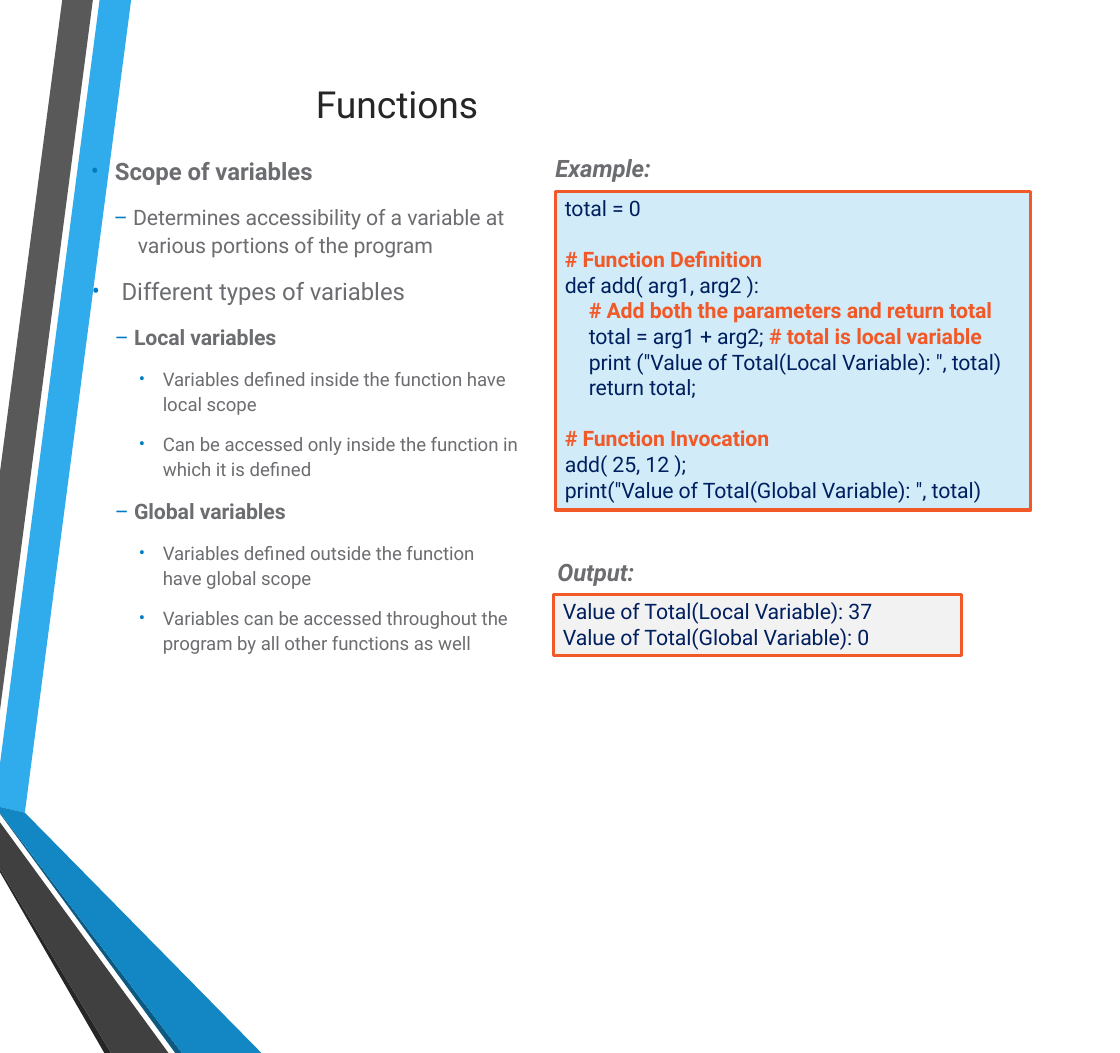
from lxml import etree
from pptx import Presentation
from pptx.dml.color import RGBColor
from pptx.enum.shapes import MSO_SHAPE
from pptx.enum.text import MSO_ANCHOR, PP_ALIGN
from pptx.oxml.ns import qn
from pptx.util import Inches, Pt

RECTANGLE = MSO_SHAPE.RECTANGLE
TOP, MIDDLE = MSO_ANCHOR.TOP, MSO_ANCHOR.MIDDLE
LEFT, CENTER = PP_ALIGN.LEFT, PP_ALIGN.CENTER
FONT = "Roboto"
DARK, GRAY, BLUE, NAVY, ORANGE = "262626", "6C6D70", "007BC3", "001F5F", "F15928"

RIBBONS = [
    ("30ACEC", [(0, 7.98), (0, 8.43), (0.26, 8.49), (1.37, 0), (1.04, 0)]),
    ("595959", [(0.97, 0), (0.65, 0), (0, 4.93), (0, 7.42)]),
    ("262626", [(0, 9.08), (0, 9.11), (1.09, 11), (1.16, 11)]),
    ("0C5A82", [(0, 8.49), (0, 8.5), (1.83, 11), (1.9, 11)]),
    ("1287C3", [(0, 8.49), (1.9, 11), (2.73, 11), (0.26, 8.49), (0, 8.43)]),
    ("404040", [(0, 9.08), (1.16, 11), (1.76, 11), (0, 8.59)]),
]

DETAILS = [
    (2.18, 3.86, "Variables defined inside the function have local scope"),
    (2.86, 4.01, "Can be accessed only inside the function in which it is defined"),
    (4.0, 3.9, "Variables defined outside the function have global scope"),
    (4.68, 3.89, "Variables can be accessed throughout the program by all other functions as well"),
]

CODE = [
    (0, 0, [("total = 0", NAVY)]),
    (0, 19.5, [("# Function Definition", ORANGE)]),
    (0, 0, [("def add( arg1, arg2 ):", NAVY)]),
    (0.25, 0, [("# Add both the parameters and return total", ORANGE)]),
    (0.25, 0, [("total = arg1 + arg2; ", NAVY), ("# total is local variable", ORANGE)]),
    (0.25, 0, [('print ("Value of Total(Local Variable): ", total)', NAVY)]),
    (0.25, 0, [("return total;", NAVY)]),
    (0, 19.5, [("# Function Invocation", ORANGE)]),
    (0, 0, [("add( 25, 12 );", NAVY)]),
    (0, 0, [('print("Value of Total(Global Variable): ", total)', NAVY)]),
]

OUTPUT = [
    (0, 0, [("Value of Total(Local Variable): 37", NAVY)]),
    (0, 0, [("Value of Total(Global Variable): 0", NAVY)]),
]


def rgb(value):
    return RGBColor.from_string(value)


def set_frame(sp, anchor=TOP, left=0, top=0.01):
    tf = sp.text_frame
    tf.word_wrap = True
    tf.vertical_anchor = anchor
    tf.margin_left, tf.margin_top = Inches(left), Inches(top)
    tf.margin_right = tf.margin_bottom = 0
    return tf


def add_text_box(s, left, top, width, height, anchor=TOP):
    sp = s.shapes.add_textbox(Inches(left), Inches(top), Inches(width), Inches(height))
    return set_frame(sp, anchor)


def add_run(p, text, size, color, bold=False, italic=False):
    r = p.add_run()
    r.text = text
    r.font.name = FONT
    r.font.size = Pt(size)
    r.font.bold = bold
    r.font.italic = italic
    r.font.color.rgb = rgb(color)
    r._r.get_or_add_rPr().set("spc", "-5")


def set_indent(p, margin, first=0):
    pPr = p._p.get_or_add_pPr()
    pPr.set("marL", str(Inches(margin)))
    pPr.set("indent", str(Inches(first)))
    return pPr


def add_bullet(p, margin, first):
    pPr = set_indent(p, margin, first)
    color = etree.SubElement(pPr, qn("a:buClr"))
    etree.SubElement(color, qn("a:srgbClr")).set("val", BLUE)
    etree.SubElement(pPr, qn("a:buFont")).set("typeface", FONT)
    etree.SubElement(pPr, qn("a:buChar")).set("char", "•")


def add_dash_item(p, text, bold):
    add_run(p, "– ", 16, BLUE)
    add_run(p, text, 16, GRAY, bold)


def add_ribbons(s, left, top):
    for color, points in RIBBONS:
        dots = [((left + x) * 100, (top + y) * 100) for x, y in points]
        builder = s.shapes.build_freeform(*dots[0], scale=Inches(0.01))
        builder.add_line_segments(dots[1:], close=True)
        sp = builder.convert_to_shape()
        sp.shadow.inherit = False
        sp.fill.solid()
        sp.fill.fore_color.rgb = rgb(color)
        sp.line.fill.background()


def add_title(s, left, top, width, height):
    p = add_text_box(s, left, top, width, height, MIDDLE).paragraphs[0]
    p.alignment = CENTER
    add_run(p, "Functions", 28, DARK)


def add_outline(s, left, top):
    tf = add_text_box(s, left, top, 4.43, 1.08)
    p = tf.paragraphs[0]
    add_bullet(p, 0.27, -0.25)
    add_run(p, "Scope of variables", 18, GRAY, bold=True)
    p = tf.add_paragraph()
    set_indent(p, 0.51, -0.25)
    p.line_spacing = 1.1
    p.space_before = Pt(12.2)
    add_dash_item(p, "Determines accessibility of a variable at various portions of the program", False)

    tf = add_text_box(s, left + 0.01, top + 1.25, 3.29, 0.79)
    p = tf.paragraphs[0]
    add_bullet(p, 0.33, -0.31)
    add_run(p, "Different types of variables", 18, GRAY)
    p = tf.add_paragraph()
    set_indent(p, 0.26)
    p.space_before = Pt(14.1)
    add_dash_item(p, "Local variables", True)

    p = add_text_box(s, left + 0.27, top + 3.56, 1.99, 0.29).paragraphs[0]
    add_dash_item(p, "Global variables", True)

    for offset, width, text in DETAILS:
        p = add_text_box(s, left + 0.5, top + offset, width, 0.54).paragraphs[0]
        add_bullet(p, 0.27, -0.25)
        p.line_spacing = 1.1
        add_run(p, text, 14, GRAY)


def add_panel(s, left, top, width, height, fill, lines):
    sp = s.shapes.add_shape(RECTANGLE, Inches(left), Inches(top), Inches(width), Inches(height))
    sp.shadow.inherit = False
    sp.fill.solid()
    sp.fill.fore_color.rgb = rgb(fill)
    sp.line.color.rgb = rgb(ORANGE)
    sp.line.width = Pt(2.5)
    tf = set_frame(sp, left=0.1, top=0.04)
    for i, (indent, gap, runs) in enumerate(lines):
        p = tf.add_paragraph() if i else tf.paragraphs[0]
        p.alignment = LEFT
        set_indent(p, indent)
        if gap:
            p.space_before = Pt(gap)
        for text, color in runs:
            add_run(p, text, 16, color, bold=color == ORANGE)


def add_heading(s, left, top, text):
    p = add_text_box(s, left, top, 1.14, 0.33).paragraphs[0]
    add_run(p, text, 18, GRAY, bold=True, italic=True)


def main():
    prs = Presentation()
    prs.slide_width, prs.slide_height = Pt(842), Pt(792)
    s = prs.slides.add_slide(prs.slide_layouts[6])
    add_ribbons(s, 0, 0)
    add_title(s, 1.19, 0.83, 5.91, 0.49)
    add_outline(s, 0.93, 1.63)
    add_heading(s, 5.8, 1.59, "Example:")
    add_panel(s, 5.8, 2, 4.96, 3.33, "D1ECF8", CODE)
    add_heading(s, 5.82, 5.82, "Output:")
    add_panel(s, 5.78, 6.21, 4.26, 0.64, "F2F2F2", OUTPUT)
    prs.save("out.pptx")


if __name__ == "__main__":
    main()
